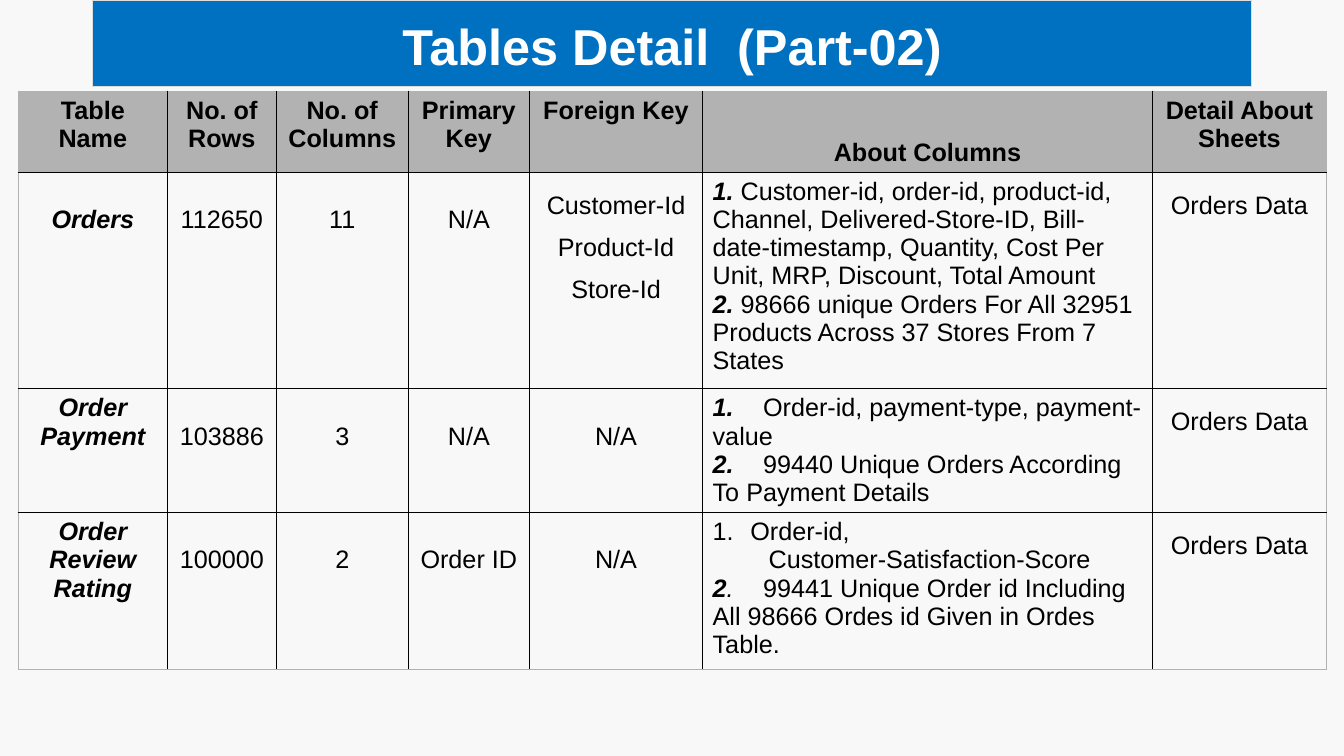
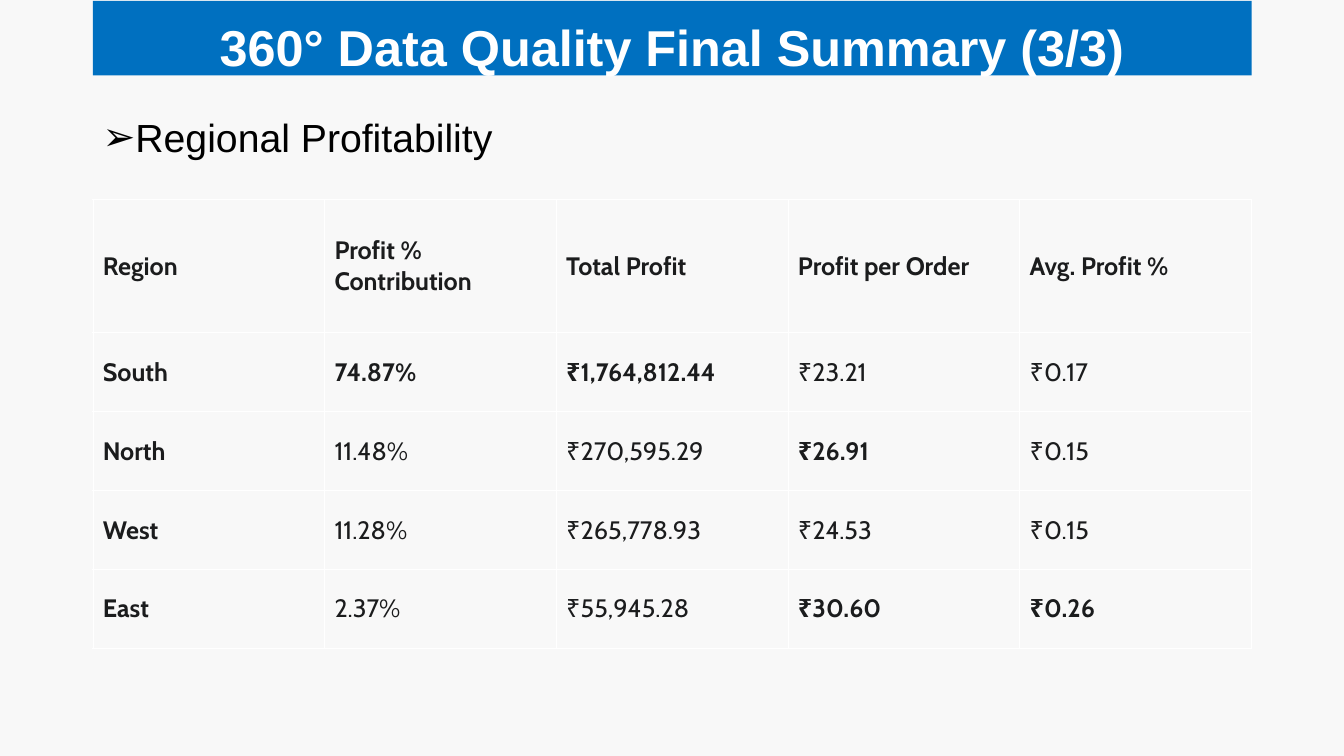
import dataclasses
import typing

import lxml.etree
import pptx
import pptx.dml.color
import pptx.enum.text
import pptx.oxml.ns
import pptx.presentation
import pptx.shapes.autoshape
import pptx.slide
import pptx.table
import pptx.text.text
import pptx.util

Cm = pptx.util.Cm
Pt = pptx.util.Pt
qn = pptx.oxml.ns.qn
ALIGN = pptx.enum.text.PP_ALIGN
ANCHOR = pptx.enum.text.MSO_ANCHOR


@dataclasses.dataclass(frozen=True)
class Theme:
    background: str = "F8F8F8"
    band: str = "0070C0"
    band_line: str = "DDDDDD"
    header: str = "B2B2B2"
    white: str = "FFFFFF"
    black: str = "000000"
    ink: str = "1B1C1D"
    font: str = "Arial"
    data_font: str = "Cabin"
    title_size: int = 36
    heading_size: int = 28
    cell_size: int = 18


THEME = Theme()


@dataclasses.dataclass(frozen=True)
class Style:
    font: str
    size: int
    color: str


TITLE = Style(THEME.font, THEME.title_size, THEME.white)
HEADING = Style(THEME.font, THEME.heading_size, THEME.black)
DETAIL = Style(THEME.font, THEME.cell_size, THEME.black)
FIGURE = Style(THEME.data_font, THEME.cell_size, THEME.ink)


@dataclasses.dataclass(frozen=True)
class Span:
    text: str
    bold: bool = False
    italic: bool = False


@dataclasses.dataclass(frozen=True)
class Para:
    spans: tuple[Span, ...]
    align: ALIGN = ALIGN.LEFT
    spacing: float = 1.0
    margin: float = 0
    hanging: float = 0
    bullet: str = ""
    numbered: bool = False
    tab: float = 0


@dataclasses.dataclass(frozen=True)
class Borders:
    inner: str
    outer: str
    width: float


@dataclasses.dataclass(frozen=True)
class Grid:
    left: float
    top: float
    columns: tuple[float, ...]
    rows: tuple[float, ...]
    borders: Borders
    style: Style
    cells: list[list[list[Para]]]
    header_fill: str = ""
    anchor: ANCHOR = ANCHOR.TOP
    inset: float = 0.13


def rgb(color: str) -> pptx.dml.color.RGBColor:
    return pptx.dml.color.RGBColor.from_string(color)


def centred(text: str, spacing: float = 1.0, bold: bool = False, italic: bool = False) -> Para:
    return Para((Span(text, bold, italic),), ALIGN.CENTER, spacing)


def numbered(number: str, text: str, tab: float = 0) -> Para:
    gap = "\t" if tab else " "
    return Para((Span(number + gap, True, True), Span(text)), tab=tab)


def add_bullet_and_tab(paragraph: pptx.text.text._Paragraph, para: Para) -> None:
    properties = paragraph._p.get_or_add_pPr()
    properties.set("marL", str(Cm(para.margin)))
    properties.set("indent", str(Cm(-para.hanging)))
    if para.bullet:
        lxml.etree.SubElement(properties, qn("a:buFont"), typeface=THEME.font)
        lxml.etree.SubElement(properties, qn("a:buChar"), char=para.bullet)
    elif para.numbered:
        lxml.etree.SubElement(properties, qn("a:buFont"), typeface=THEME.font)
        lxml.etree.SubElement(properties, qn("a:buAutoNum"), type="arabicPeriod")
    else:
        lxml.etree.SubElement(properties, qn("a:buNone"))
    if para.tab:
        tabs = lxml.etree.SubElement(properties, qn("a:tabLst"))
        lxml.etree.SubElement(tabs, qn("a:tab"), pos=str(Cm(para.tab)), algn="l")


def write(frame: pptx.text.text.TextFrame, paras: typing.Sequence[Para], style: Style) -> None:
    for index, para in enumerate(paras):
        paragraph = frame.add_paragraph() if index else frame.paragraphs[0]
        add_bullet_and_tab(paragraph, para)
        paragraph.alignment = para.align
        paragraph.line_spacing = para.spacing
        paragraph.space_before = Pt(0)
        for span in para.spans:
            run = paragraph.add_run()
            run.text = span.text
            run.font.name = style.font
            run.font.size = Pt(style.size)
            run.font.color.rgb = rgb(style.color)
            run.font.bold = span.bold
            run.font.italic = span.italic


def add_page(deck: pptx.presentation.Presentation, title: str, top: float, height: float,
             outlined: bool = False) -> pptx.slide.Slide:
    page = deck.slides.add_slide(deck.slide_layouts[5])
    band = page.shapes.title
    band.left, band.top, band.width, band.height = Cm(2.34), Cm(top), Cm(29.2), Cm(height)
    band.fill.solid()
    band.fill.fore_color.rgb = rgb(THEME.band)
    if outlined:
        band.line.color.rgb = rgb(THEME.band_line)
        band.line.width = Pt(0.75)
    else:
        band.line.fill.background()
    frame = band.text_frame
    frame.word_wrap = True
    frame.auto_size = pptx.enum.text.MSO_AUTO_SIZE.NONE
    frame.vertical_anchor = ANCHOR.TOP
    frame.margin_left = frame.margin_right = Cm(0.25)
    frame.margin_top, frame.margin_bottom = Cm(0.39), Cm(0)
    write(frame, [centred(title, bold=True)], TITLE)
    return page


def add_border(cell: pptx.table._Cell, side: str, color: str, width: float) -> None:
    properties = cell._tc.get_or_add_tcPr()
    line = lxml.etree.SubElement(properties, qn(f"a:ln{side}"), w=str(Pt(width)))
    fill = lxml.etree.SubElement(line, qn("a:solidFill"))
    lxml.etree.SubElement(fill, qn("a:srgbClr"), val=color)


def add_grid(page: pptx.slide.Slide, grid: Grid) -> None:
    row_count, column_count = len(grid.rows), len(grid.columns)
    table = page.shapes.add_table(row_count, column_count, Cm(grid.left), Cm(grid.top),
                                  Cm(sum(grid.columns)), Cm(sum(grid.rows))).table
    table.first_row = table.horz_banding = False
    for column, width in zip(table.columns, grid.columns):
        column.width = Cm(width)
    for row, height in zip(table.rows, grid.rows):
        row.height = Cm(height)
    for row_index, contents in enumerate(grid.cells):
        for column_index, paras in enumerate(contents):
            cell = table.cell(row_index, column_index)
            edges = {"L": column_index == 0, "R": column_index == column_count - 1,
                     "T": row_index == 0, "B": row_index == row_count - 1}
            for side, is_outer in edges.items():
                color = grid.borders.outer if is_outer else grid.borders.inner
                add_border(cell, side, color, grid.borders.width)
            if grid.header_fill and row_index == 0:
                cell.fill.solid()
                cell.fill.fore_color.rgb = rgb(grid.header_fill)
            else:
                cell.fill.background()
            cell.vertical_anchor = grid.anchor
            cell.margin_left = cell.margin_right = Cm(0.25)
            cell.margin_top = cell.margin_bottom = Cm(grid.inset)
            write(cell.text_frame, paras, grid.style)


def detail_row(name: str, rows: str, columns: str, primary: str, foreign: list[Para],
               about: list[Para], name_spacing: float = 1.0) -> list[list[Para]]:
    counts = [[centred(text, 2.0)] for text in (rows, columns, primary)]
    return [[centred(name, name_spacing, True, True)], *counts, foreign, about,
            [centred("Orders Data", 1.5)]]


def add_tables_detail(deck: pptx.presentation.Presentation) -> None:
    headers = ("Table Name", "No. of Rows", "No. of Columns", "Primary Key", "Foreign Key",
               "About Columns", "Detail About Sheets")
    no_key = [centred("N/A", 2.0)]
    cells = [
        [[centred(text, 2.5 if text == "About Columns" else 1.0, True)] for text in headers],
        detail_row("Orders", "112650", "11", "N/A",
                   [centred(key, 1.5) for key in ("Customer-Id", "Product-Id", "Store-Id")],
                   [numbered("1.", "Customer-id, order-id, product-id, Channel, "
                             "Delivered-Store-ID, Bill-date-timestamp, Quantity, "
                             "Cost Per Unit, MRP, Discount, Total Amount"),
                    numbered("2.", "98666 unique Orders For All 32951 Products "
                             "Across 37 Stores From 7 States")], 2.0),
        detail_row("Order Payment", "103886", "3", "N/A", no_key,
                   [numbered("1.", "Order-id, payment-type, payment-value", 1.07),
                    numbered("2.", "99440 Unique Orders According To Payment Details", 1.07)]),
        detail_row("Order Review Rating", "100000", "2", "Order ID", no_key,
                   [Para((Span("Order-id,"),), margin=0.95, hanging=0.95, numbered=True),
                    Para((Span("Customer-Satisfaction-Score"),), margin=1.41),
                    Para((Span("2", True, True), Span(".\t", italic=True),
                          Span("99441 Unique Order id Including All 98666 Ordes id "
                               "Given in Ordes Table.")), tab=1.25)]),
    ]
    page = add_page(deck, "Tables Detail  (Part-02)", 0, 2.17, outlined=True)
    add_grid(page, Grid(0.46, 2.3, (3.76, 2.74, 3.33, 3.05, 4.37, 11.33, 4.39),
                        (1.78, 5.46, 3.12, 3.96), Borders(THEME.black, THEME.header, 1),
                        DETAIL, cells, THEME.header))


def add_quality_summary(deck: pptx.presentation.Presentation) -> None:
    rows = (
        (("Region", "Profit % Contribution", "Total Profit", "Profit per Order",
          "Avg. Profit %"), {0, 1, 2, 3, 4}),
        (("South", "74.87%", "₹1,764,812.44", "₹23.21", "₹0.17"), {0, 1, 2}),
        (("North", "11.48%", "₹270,595.29", "₹26.91", "₹0.15"), {0, 3}),
        (("West", "11.28%", "₹265,778.93", "₹24.53", "₹0.15"), {0}),
        (("East", "2.37%", "₹55,945.28", "₹30.60", "₹0.26"), {0, 3, 4}),
    )
    cells = [[[Para((Span(text, index in bold),))] for index, text in enumerate(texts)]
             for texts, bold in rows]
    page = add_page(deck, "360° Data Quality Final Summary (3/3)", 0.02, 1.88)
    add_grid(page, Grid(2.34, 5.03, (5.84,) * 5, (3.35,) + (1.99,) * 4,
                        Borders(THEME.white, THEME.white, 0.6), FIGURE, cells,
                        anchor=ANCHOR.MIDDLE, inset=0.18))
    box = page.shapes.add_textbox(Cm(2.34), Cm(2.74), Cm(29.2), Cm(1.45))
    box.text_frame.word_wrap = True
    write(box.text_frame, [Para((Span("Regional Profitability"),), margin=0.79,
                                hanging=0.79, bullet="➢")], HEADING)


def main() -> None:
    deck = pptx.Presentation()
    deck.slide_width, deck.slide_height = Cm(33.87), Cm(19.05)
    background = deck.slide_master.background.fill
    background.solid()
    background.fore_color.rgb = rgb(THEME.background)
    add_tables_detail(deck)
    add_quality_summary(deck)
    deck.save("out.pptx")


if __name__ == "__main__":
    main()
